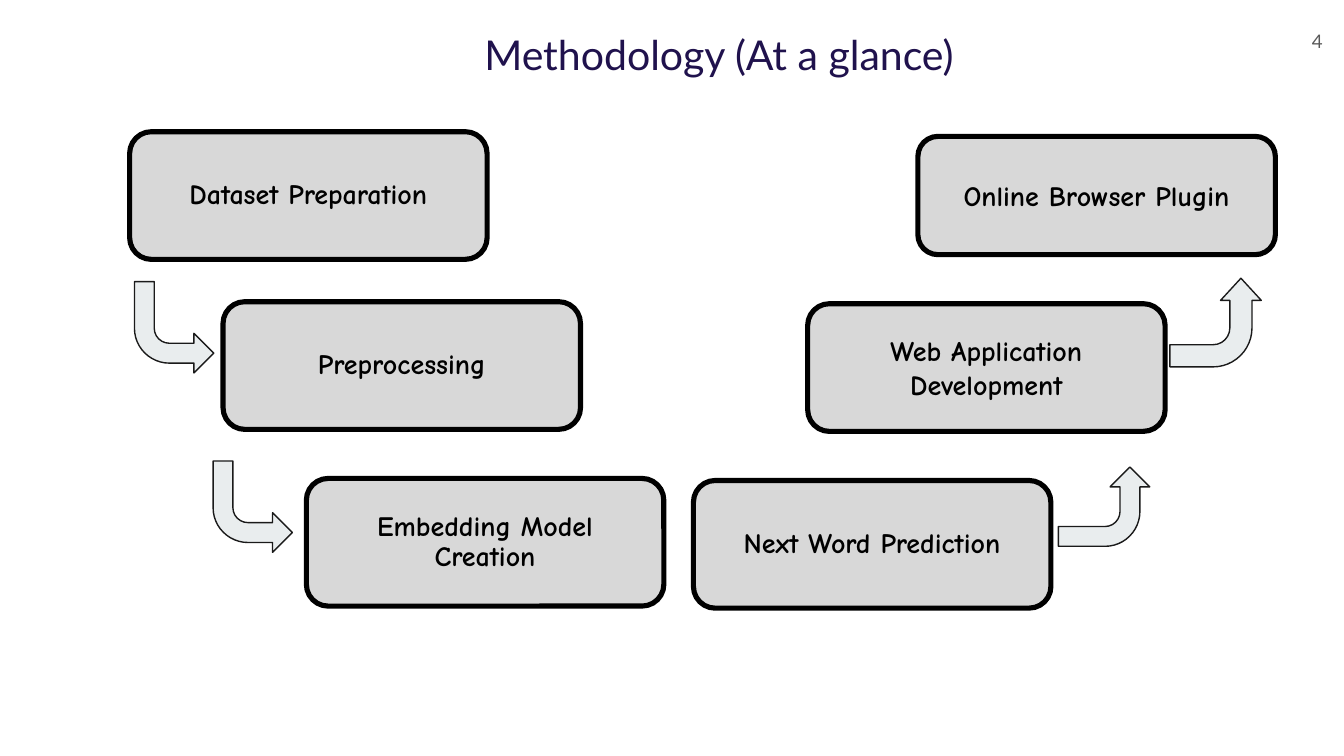
from pptx import Presentation
from pptx.dml.color import RGBColor
from pptx.enum.shapes import MSO_SHAPE as Kind
from pptx.enum.text import MSO_ANCHOR as Anchor, PP_ALIGN as Align
from pptx.util import Pt

PX = 4572  # 200 px to the inch

NAVY = RGBColor(0x20, 0x12, 0x4D)
GREY = RGBColor(0x59, 0x59, 0x59)
BLACK = RGBColor(0x00, 0x00, 0x00)
SILVER = RGBColor(0xD8, 0xD8, 0xD8)
MIST = RGBColor(0xE9, 0xED, 0xEE)
INK = RGBColor(0x1A, 0x1A, 0x1A)


def write(shape, text, size, color, font="Lato", align=Align.CENTER,
          bold=False, spacing=1.0):
    frame = shape.text_frame
    frame.word_wrap = True
    frame.vertical_anchor = Anchor.MIDDLE
    frame.margin_left = frame.margin_right = 20 * PX
    frame.margin_top = frame.margin_bottom = 20 * PX
    para = frame.paragraphs[0]
    para.alignment = align
    para.line_spacing = spacing
    run = para.add_run()
    run.text = text
    run.font.name, run.font.size, run.font.bold = font, Pt(size), bold
    run.font.color.rgb = color


def draw(kind, x, y, w, h, fill, line, width):
    shape = slide.shapes.add_shape(kind, x * PX, y * PX, w * PX, h * PX)
    shape.shadow.inherit = False
    shape.fill.solid()
    shape.fill.fore_color.rgb = fill
    shape.line.color.rgb = line
    shape.line.width = Pt(width)
    return shape


deck = Presentation()
deck.slide_width, deck.slide_height = 2000 * PX, 1125 * PX
slide = deck.slides.add_slide(deck.slide_layouts[5])

# Title and page number
title = slide.shapes.title
title.left, title.top = 614 * PX, 29 * PX
title.width, title.height = 912 * PX, 104 * PX
write(title, "Methodology (At a glance)", 22, NAVY)
page = slide.shapes.add_textbox(1868 * PX, 18 * PX, 120 * PX, 86 * PX)
write(page, "4", 10, GREY, align=Align.RIGHT)

# Steps: down the left side, then up the right
steps = [
    ("Dataset Preparation", 193, 196, 190, 0.9),
    ("Preprocessing", 332, 449, 190, 0.9),
    ("Embedding Model Creation", 456, 712, 190, 0.9),
    ("Next Word Prediction", 1032, 715, 190, 0.9),
    ("Web Application Development", 1202, 452, 190, 1.0),
    ("Online Browser Plugin", 1366, 203, 176, 1.0),
]
for text, x, y, h, spacing in steps:
    box = draw(Kind.ROUNDED_RECTANGLE, x, y, 532, h, SILVER, BLACK, 2.75)
    box.adjustments[0] = 0.17
    write(box, text, 15, BLACK, font="Comic Neue", bold=True, spacing=spacing)

# Bent arrows between steps, mirrored and then turned
arrows = [
    (317, 686, 118, 180, 0.25),
    (200, 419, 118, 180, 0.25),
    (1584, 686, 118, 90, 0.25),
    (1743, 412, 132, 90, 0.23),
]
for x, y, w, turn, head in arrows:
    arrow = draw(Kind.BENT_ARROW, x, y, w, 136, MIST, INK, 0.75)
    for i, value in enumerate((0.25, head, 0.25, 0.44)):
        arrow.adjustments[i] = value
    arrow.rotation = turn
    arrow._element.spPr.xfrm.set("flipH", "1")

deck.save("out.pptx")
